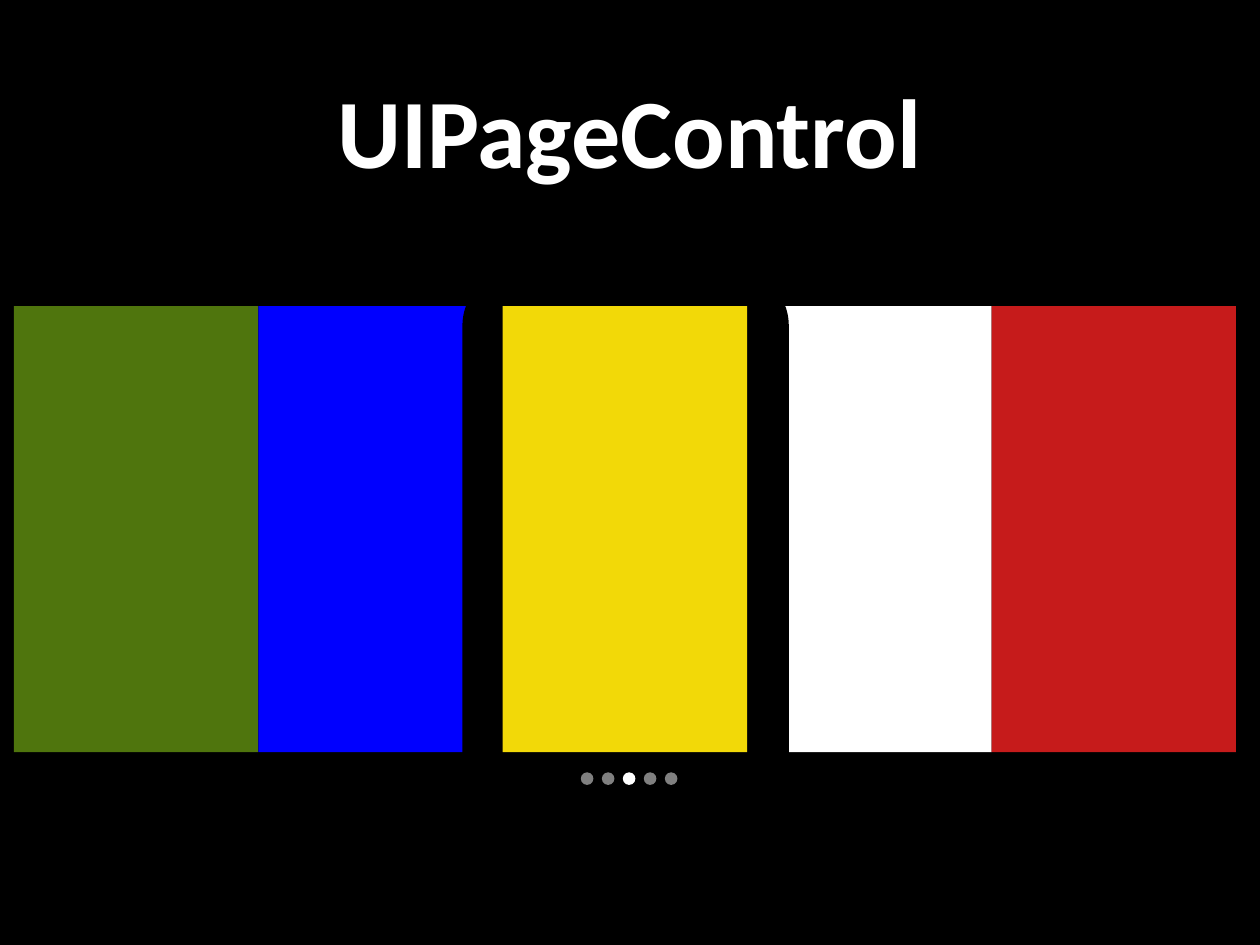
from pptx import Presentation
from pptx.dml.color import RGBColor
from pptx.enum.shapes import MSO_SHAPE
from pptx.enum.text import MSO_ANCHOR, PP_ALIGN
from pptx.util import Inches, Pt

RECT = MSO_SHAPE.RECTANGLE
ROUNDED = MSO_SHAPE.ROUNDED_RECTANGLE
OVAL = MSO_SHAPE.OVAL
CENTER = PP_ALIGN.CENTER
MIDDLE = MSO_ANCHOR.MIDDLE

COLORS = {
    "black": "000000",
    "white": "FFFFFF",
    "green": "4F750D",
    "blue": "0000FF",
    "yellow": "F2D908",
    "red": "C61B1B",
    "gray": "808080",
}
PAGES = ["green", "blue", "yellow", "white", "red"]
CURRENT = 2
PAGE_LEFT, PAGE_TOP, PAGE_W, PAGE_H = 0.11, 2.43, 1.94, 3.54
DOT_LEFT, DOT_TOP, DOT_SIZE, DOT_PITCH = 4.61, 6.13, 0.1, 1 / 6


def rgb(name):
    return RGBColor.from_string(COLORS[name])


def add_filled(slide, kind, left, top, width, height, color):
    sp = slide.shapes.add_shape(
        kind, Inches(left), Inches(top), Inches(width), Inches(height))
    sp.shadow.inherit = False
    sp.fill.solid()
    sp.fill.fore_color.rgb = rgb(color)
    sp.line.fill.background()


def set_title(slide, text):
    sp = slide.shapes.title
    sp.left, sp.top = Inches(0.85), Inches(0.12)
    sp.width, sp.height = Inches(8.29), Inches(1.81)
    tf = sp.text_frame
    tf.text = text
    tf.vertical_anchor = MIDDLE
    p = tf.paragraphs[0]
    p.alignment = CENTER
    font = p.runs[0].font
    font.name, font.size, font.bold = "Calibri", Pt(56), True
    font.color.rgb = rgb("white")


def add_page(slide, index):
    add_filled(slide, RECT, PAGE_LEFT + index * PAGE_W, PAGE_TOP,
               PAGE_W, PAGE_H, PAGES[index])


def add_dots(slide):
    for i in range(len(PAGES)):
        add_filled(slide, OVAL, DOT_LEFT + i * DOT_PITCH, DOT_TOP,
                   DOT_SIZE, DOT_SIZE, "white" if i == CURRENT else "gray")


def main():
    prs = Presentation()
    prs.slide_width, prs.slide_height = Inches(10), Inches(7.5)
    slide = prs.slides.add_slide(prs.slide_layouts[5])
    slide.background.fill.solid()
    slide.background.fill.fore_color.rgb = rgb("black")
    set_title(slide, "UIPageControl")
    for i in (3, 0, 1):
        add_page(slide, i)
    add_filled(slide, ROUNDED, 3.67, 2.15, 2.59, 4.41, "black")
    for i in (4, CURRENT):
        add_page(slide, i)
    add_dots(slide)
    prs.save("out.pptx")


if __name__ == "__main__":
    main()
